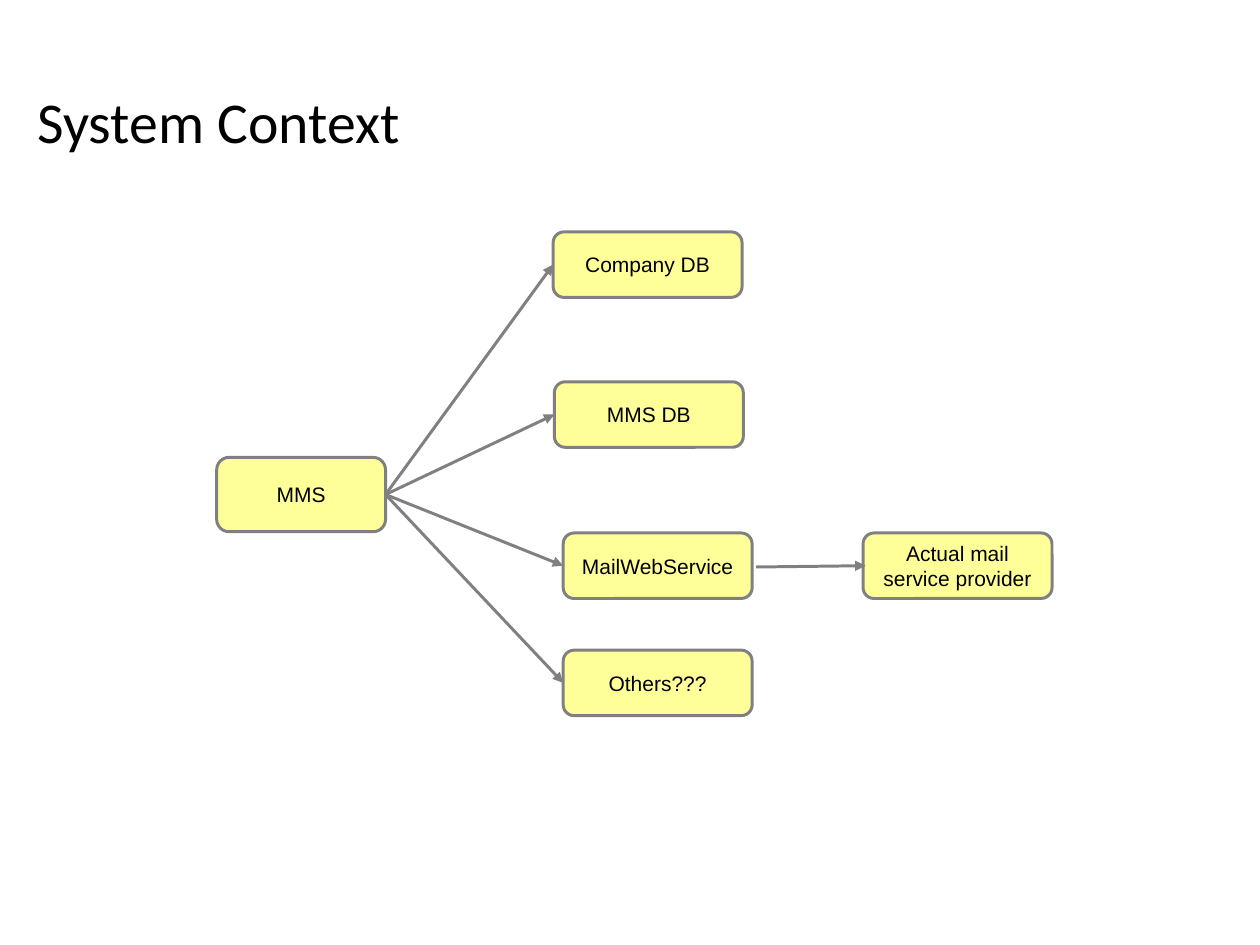
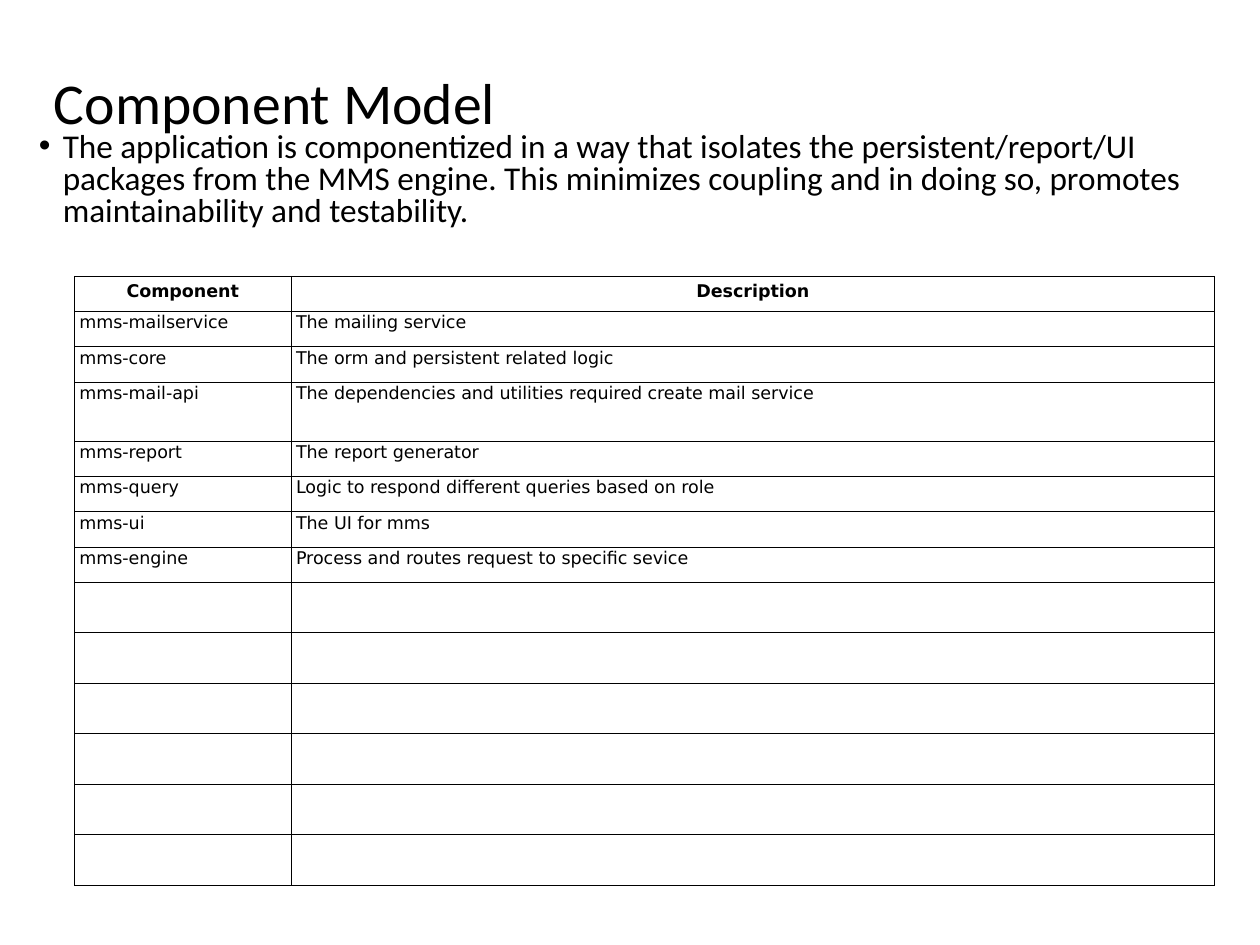
from dataclasses import dataclass
from typing import Any

import pptx
import pptx.dml.color
import pptx.enum.shapes
import pptx.enum.text
import pptx.oxml
import pptx.oxml.ns
import pptx.util

Inches = pptx.util.Inches
ALIGN = pptx.enum.text.PP_ALIGN
ANCHOR = pptx.enum.text.MSO_ANCHOR

# Shared look
BLACK, GRAY, YELLOW = "000000", "808080", "FFFF99"
TITLE_FONT, BOX_FONT, TABLE_FONT = "Calibri", "Arial", "DejaVu Sans"
LINE_WIDTH = 1.7
BORDER_WIDTH = 0.28
BOX_W, BOX_H = 1.5, 0.52


@dataclass
class Box:
    text: str
    x: float
    y: float
    w: float = BOX_W
    h: float = BOX_H


# Slide content
MMS = Box("MMS", 1.72, 3.63, 1.34, 0.59)
TARGETS = [
    Box("Company DB", 4.39, 1.84),
    Box("MMS DB", 4.4, 3.03),
    Box("MailWebService", 4.47, 4.23),
    Box("Others???", 4.47, 5.16),
]
PROVIDER = Box("Actual mail service provider", 6.85, 4.23)

SUMMARY = (
    "The application is componentized in a way that isolates the "
    "persistent/report/UI packages from the MMS engine. This minimizes coupling "
    "and in doing so, promotes maintainability and testability."
)
COMPONENTS = [
    ("Component", "Description"),
    ("mms-mailservice", "The mailing service"),
    ("mms-core", "The orm and persistent related logic"),
    ("mms-mail-api", "The dependencies and utilities required create mail service"),
    ("mms-report", "The report generator"),
    ("mms-query", "Logic to respond different queries based on role"),
    ("mms-ui", "The UI for mms"),
    ("mms-engine", "Process and routes request to specific sevice"),
]
EMPTY_ROWS = 6
COL_WIDTHS = [1.72, 7.33]
ROW_H, TALL_ROW_H, EMPTY_ROW_H = 0.28, 0.47, 0.29
TALL_ROW = 3


def rgb(color: str) -> pptx.dml.color.RGBColor:
    return pptx.dml.color.RGBColor.from_string(color)


def add_xml(parent: Any, xml: str) -> None:
    """Append one DrawingML element, written without its namespace declaration."""
    ns = pptx.oxml.ns.nsdecls("a")
    tag, rest = xml.split(" ", 1)
    parent.append(pptx.oxml.parse_xml(f"{tag} {ns} {rest}"))


def write_text(tf: Any, text: str, *, font: str, size: float, bold: bool = False,
               align: Any = ALIGN.LEFT, spacing: float = 1.0,
               bullet: bool = False) -> None:
    p = tf.paragraphs[0]
    if bullet:
        pPr = p._p.get_or_add_pPr()
        pPr.set("marL", str(Inches(0.19)))
        pPr.set("indent", str(Inches(-0.19)))
        add_xml(pPr, f'<a:buClr ><a:srgbClr val="{BLACK}"/></a:buClr>')
        add_xml(pPr, '<a:buFont typeface="Arial"/>')
        add_xml(pPr, '<a:buChar char="•"/>')
    p.alignment = align
    p.line_spacing = spacing
    r = p.add_run()
    r.text = text
    r.font.name = font
    r.font.size = pptx.util.Pt(size)
    r.font.bold = bold
    r.font.color.rgb = rgb(BLACK)


def add_text(slide: Any, x: float, y: float, w: float, h: float, text: str,
             anchor: Any = ANCHOR.TOP, **fmt: Any) -> None:
    sp = slide.shapes.add_textbox(Inches(x), Inches(y), Inches(w), Inches(h))
    tf = sp.text_frame
    tf.word_wrap = True
    tf.vertical_anchor = anchor
    write_text(tf, text, **fmt)


def add_title(slide: Any, x: float, y: float, text: str) -> None:
    add_text(slide, x, y, 9.48, 0.68, text, ANCHOR.MIDDLE,
             font=TITLE_FONT, size=33, spacing=0.9)


def add_box(slide: Any, box: Box) -> Any:
    sp = slide.shapes.add_shape(
        pptx.enum.shapes.MSO_SHAPE.ROUNDED_RECTANGLE,
        Inches(box.x), Inches(box.y), Inches(box.w), Inches(box.h))
    sp.shadow.inherit = False
    sp.fill.solid()
    sp.fill.fore_color.rgb = rgb(YELLOW)
    sp.line.color.rgb = rgb(GRAY)
    sp.line.width = pptx.util.Pt(LINE_WIDTH)
    tf = sp.text_frame
    tf.word_wrap = True
    tf.vertical_anchor = ANCHOR.MIDDLE
    write_text(tf, box.text, font=BOX_FONT, size=12, align=ALIGN.CENTER)
    return sp


def add_arrow(slide: Any, x1: float, y1: float, x2: float, y2: float) -> Any:
    line = slide.shapes.add_connector(
        pptx.enum.shapes.MSO_CONNECTOR.STRAIGHT,
        Inches(x1), Inches(y1), Inches(x2), Inches(y2))
    line.line.color.rgb = rgb(GRAY)
    line.line.width = pptx.util.Pt(LINE_WIDTH)
    add_xml(line.line._get_or_add_ln(), '<a:tailEnd type="triangle"/>')
    add_xml(line._element.spPr, "<a:effectLst />")
    return line


def style_cell(cell: Any) -> None:
    cell.margin_left = cell.margin_right = Inches(0.04)
    cell.margin_top = cell.margin_bottom = Inches(0.05)
    tcPr = cell._tc.get_or_add_tcPr()
    for side in ("lnL", "lnR", "lnT", "lnB"):
        add_xml(tcPr, f'<a:{side} w="{pptx.util.Pt(BORDER_WIDTH)}"><a:solidFill>'
                      f'<a:srgbClr val="{BLACK}"/></a:solidFill></a:{side}>')
    cell.fill.background()


def add_component_table(slide: Any, x: float, y: float) -> None:
    heights = [ROW_H] * len(COMPONENTS) + [EMPTY_ROW_H] * EMPTY_ROWS
    heights[TALL_ROW] = TALL_ROW_H
    table = slide.shapes.add_table(
        len(heights), len(COL_WIDTHS), Inches(x), Inches(y),
        Inches(sum(COL_WIDTHS)), Inches(sum(heights))).table
    table.first_row = table.horz_banding = False
    for col, width in zip(table.columns, COL_WIDTHS):
        col.width = Inches(width)
    for row, height in zip(table.rows, heights):
        row.height = Inches(height)
    for cell in table.iter_cells():
        style_cell(cell)
    for i, texts in enumerate(COMPONENTS):
        header = i == 0
        for j, text in enumerate(texts):
            cell = table.cell(i, j)
            cell.vertical_anchor = ANCHOR.MIDDLE if header else ANCHOR.TOP
            write_text(cell.text_frame, text, font=TABLE_FONT, size=10, bold=header,
                       align=ALIGN.CENTER if header else ALIGN.LEFT, spacing=0.69)


def build_system_context(slide: Any) -> None:
    add_title(slide, 0.2, 0.65, "System Context")
    mms = add_box(slide, MMS)
    for target in TARGETS:
        sp = add_box(slide, target)
        arrow = add_arrow(slide, MMS.x + MMS.w, MMS.y + MMS.h / 2,
                          target.x, target.y + target.h / 2)
        arrow.begin_connect(mms, 3)
        arrow.end_connect(sp, 1)
    # The mail service hands over to an outside provider
    add_box(slide, PROVIDER)
    add_arrow(slide, 6, 4.5, 6.87, 4.49)


def build_component_model(slide: Any) -> None:
    add_title(slide, 0.33, 0.5, "Component Model")
    add_text(slide, 0.21, 1.01, 9.48, 0.9, SUMMARY,
             font=TITLE_FONT, size=19, spacing=0.8, bullet=True)
    add_component_table(slide, 0.59, 2.19)


def main() -> None:
    prs = pptx.Presentation()
    prs.slide_width, prs.slide_height = Inches(10), Inches(7.5)
    blank = prs.slide_layouts[6]
    for build in (build_system_context, build_component_model):
        build(prs.slides.add_slide(blank))
    prs.save("out.pptx")


if __name__ == "__main__":
    main()
